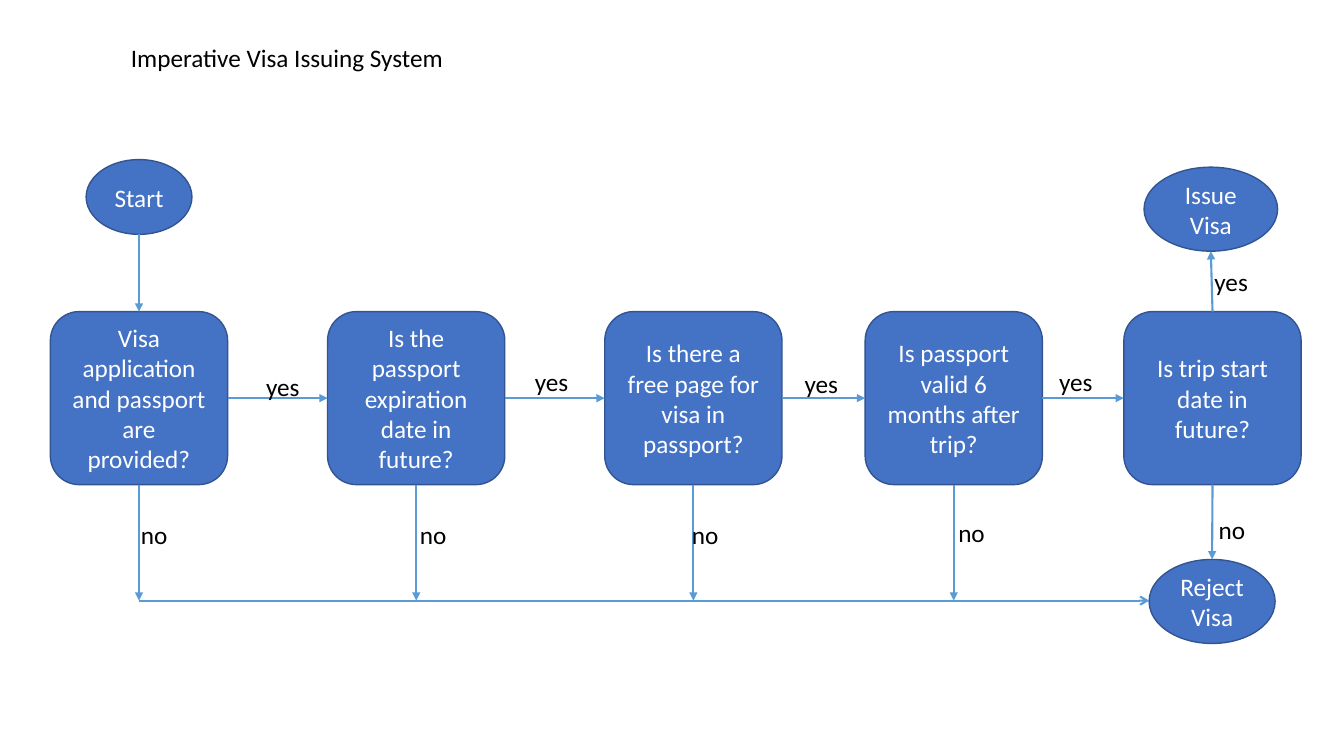
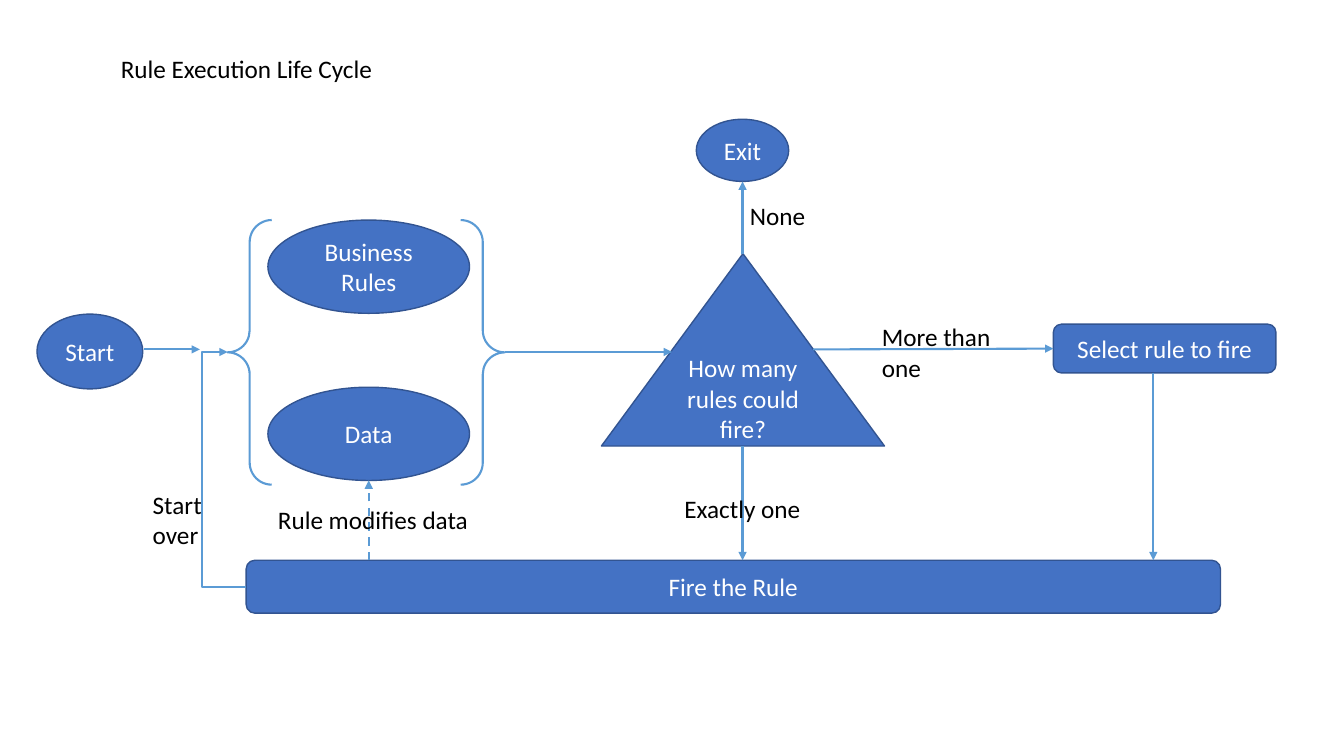
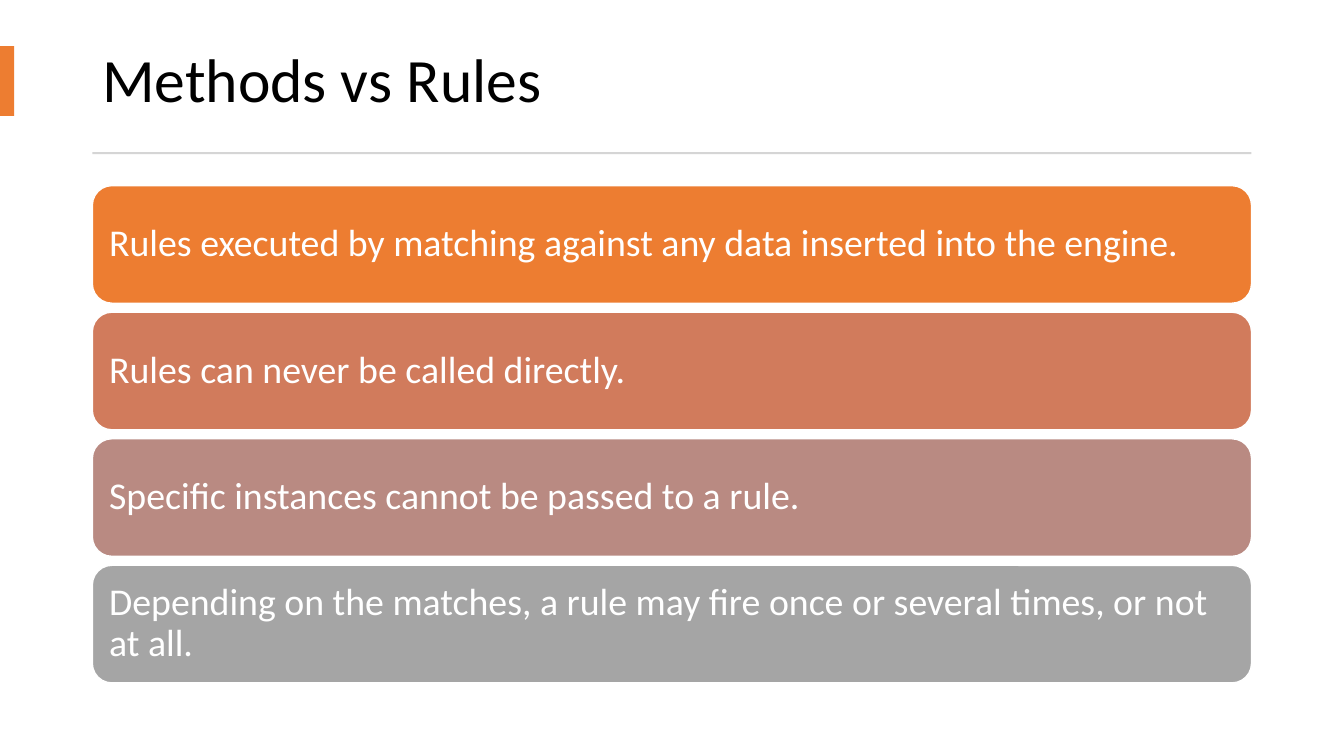
import pptx
import pptx.dml.color
import pptx.enum.dml
import pptx.enum.shapes
import pptx.enum.text
import pptx.oxml
import pptx.oxml.ns
import pptx.util

KIND = pptx.enum.shapes.MSO_SHAPE
LINK = pptx.enum.shapes.MSO_CONNECTOR
ALIGN = pptx.enum.text.PP_ALIGN
ANCHOR = pptx.enum.text.MSO_ANCHOR
TOP, LEFT, BOTTOM, RIGHT = range(4)

COLS, ROWS = 160, 90  # the slide grid; every length below counts its cells
CELL = pptx.util.Inches(1 / 12)
FONT = "Calibri"
BLUE, EDGE, WIRE = "4472C4", "325491", "5B9BD5"
BLACK, WHITE, ORANGE, GREY = "000000", "FFFFFF", "ED7D31", "D5D5D5"
CARDS = [
    (ORANGE, "Rules executed by matching against any data inserted into the engine."),
    ("D17B5C", "Rules can never be called directly."),
    ("B98A82", "Specific instances cannot be passed to a rule."),
    ("A5A5A5", "Depending on the matches, a rule may fire once or several times, or not at all."),
]
# question, left edge, place of its "yes", place of its "no"
STEPS = [
    ("Visa application and passport are provided?", 0, (24.5, 24.6), (9.6, 42.2)),
    ("Is the passport expiration date in future?", 33, (56.5, 24), (42.8, 42.2)),
    ("Is there a free page for visa in passport?", 66, (88.6, 24.2), (75.2, 42.2)),
    ("Is passport valid 6 months after trip?", 97, (118.9, 24), (106.9, 42)),
    ("Is trip start date in future?", 127.8, (137.4, 12.1), (137.9, 41.6)),
]


def cells(*counts):
    return [round(count * CELL) for count in counts]


def inside(box, x, y, *size):
    """Move a place given from the box's corner onto the slide."""
    return (box[0] + x, box[1] + y, *size)


def paint(form, color):
    form.solid()
    form.fore_color.rgb = pptx.dml.color.RGBColor.from_string(color)


def write(shape, lines, size, color, align=ALIGN.LEFT, anchor=ANCHOR.TOP, space=None):
    frame = shape.text_frame
    frame.word_wrap = True
    frame.vertical_anchor = anchor
    for i, line in enumerate(lines):
        para = frame.paragraphs[0] if i == 0 else frame.add_paragraph()
        para.alignment = align
        if space:
            para.line_spacing = space
        run = para.add_run()
        run.text = line
        run.font.name = FONT
        run.font.size = pptx.util.Pt(size)
        paint(run.font.fill, color)
    return frame


def draw(slide, kind, box, fill=None, edge=None, width=1):
    shape = slide.shapes.add_shape(kind, *cells(*box))
    shape.shadow.inherit = False
    if fill:
        paint(shape.fill, fill)
    else:
        shape.fill.background()
    if edge:
        paint(shape.line.fill, edge)
        shape.line.width = pptx.util.Pt(width)
    else:
        shape.line.fill.background()
    return shape


def node(slide, kind, box, text):
    shape = draw(slide, kind, box, BLUE, EDGE)
    write(shape, [text], 18, WHITE, ALIGN.CENTER, ANCHOR.MIDDLE)
    return shape


def label(slide, box, *lines):
    shape = slide.shapes.add_textbox(*cells(*box))
    frame = write(shape, lines, 18, BLACK)
    frame.word_wrap = False
    frame.auto_size = pptx.enum.text.MSO_AUTO_SIZE.SHAPE_TO_FIT_TEXT


def arrow(slide, start, end, head="triangle", kind=LINK.STRAIGHT):
    wire = slide.shapes.add_connector(kind, *cells(*start, *end))
    paint(wire.line.fill, WIRE)
    wire.line.width = pptx.util.Pt(1.5)
    tip = wire.line._get_or_add_ln().makeelement(
        pptx.oxml.ns.qn("a:tailEnd"), {"type": head})
    wire.line._get_or_add_ln().append(tip)
    props = wire._element.spPr
    props.append(props.makeelement(pptx.oxml.ns.qn("a:effectLst"), {}))
    return wire


def bend(slide, low, high, share):
    """Arrow from low, out left by a share of the width, back to high."""
    wire = arrow(slide, high, low, kind=LINK.ELBOW)
    props = wire._element.spPr
    props.find(pptx.oxml.ns.qn("a:xfrm")).set("rot", "10800000")
    form = props.find(pptx.oxml.ns.qn("a:prstGeom"))
    guides = form.find(pptx.oxml.ns.qn("a:avLst"))
    if guides is None:
        guides = form.makeelement(pptx.oxml.ns.qn("a:avLst"), {})
        form.append(guides)
    guides.append(guides.makeelement(
        pptx.oxml.ns.qn("a:gd"), {"name": "adj1", "fmla": f"val {round(share * 100000)}"}))


def visa_flow(slide, box):
    def at(*place):
        return inside(box, *place)

    wide, high, top, rail = 21.1, 20.6, 18.1, 52.5
    mid, base = top + high / 2, top + high
    node(slide, KIND.OVAL, at(4.25, 0, 12.6, 8.9), "Start")
    node(slide, KIND.OVAL, at(130.2, 0.9, 15.9, 10), "Issue Visa")
    node(slide, KIND.OVAL, at(130.8, 47.6, 15, 10), "Reject Visa")
    steps = [node(slide, KIND.ROUNDED_RECTANGLE, at(left, top, wide, high), text)
             for text, left, _, _ in STEPS]
    arrow(slide, at(wide / 2, 8.9), at(wide / 2, top)).end_connect(steps[0], TOP)
    arrow(slide, at(wide / 2, rail), at(130.8, rail), "arrow")

    for i, (_, left, yes, no) in enumerate(STEPS):
        center = left + wide / 2
        if i + 1 < len(STEPS):
            ahead = arrow(slide, at(left + wide, mid), at(STEPS[i + 1][1], mid))
            ahead.begin_connect(steps[i], RIGHT)
            ahead.end_connect(steps[i + 1], LEFT)
            drop = arrow(slide, at(center, base), at(center, rail))
        else:
            rise = arrow(slide, at(center, top), at(138.15, 10.9))
            rise.begin_connect(steps[i], TOP)
            drop = arrow(slide, at(center, base), at(138.3, 47.6))
        drop.begin_connect(steps[i], BOTTOM)
        label(slide, at(*yes, 6.5, 4.8), "yes")
        label(slide, at(*no, 5.6, 4.8), "no")


def rule_cycle(slide, box):
    def at(*place):
        return inside(box, *place)

    floor, axis = 52.7, 84.4
    node(slide, KIND.OVAL, at(0.4, 23.4, 12.6, 8.9), "Start")
    node(slide, KIND.OVAL, at(27.9, 12.2, 24, 11.1), "Business Rules")
    node(slide, KIND.OVAL, at(27.9, 32.1, 24, 11.1), "Data")
    draw(slide, KIND.DOUBLE_BRACE, at(23.1, 12.2, 33, 31.5), edge=WIRE, width=1.5)
    node(slide, KIND.ROUNDED_RECTANGLE, at(25.3, floor, 116, 6.3), "Fire the Rule")
    node(slide, KIND.ISOSCELES_TRIANGLE, at(67.6, 16.2, 33.7, 22.9),
         "How many rules could fire?")
    pick = node(slide, KIND.ROUNDED_RECTANGLE, at(121.4, 24.6, 26.5, 5.8),
                "Select rule to fire")
    node(slide, KIND.OVAL, at(axis - 5.5, 0.2, 11, 7.4), "Exit")

    for start, end in [
        ((13.1, 27.6), (19.8, 27.6)),
        ((56.1, 27.9), (76, 27.9)),
        ((axis, 39.1), (axis, floor)),
        ((axis, 16.2), (axis, 7.6)),
        ((133.3, 30.4), (133.3, floor)),
    ]:
        arrow(slide, at(*start), at(*end))
    arrow(slide, at(92.8, 27.6), at(121.4, 27.5)).end_connect(pick, LEFT)
    dashes = arrow(slide, at(39.9, floor), at(39.9, 43.2))
    dashes.line.dash_style = pptx.enum.dml.MSO_LINE.DASH
    bend(slide, at(25.3, 55.9), at(23.1, 27.9), 2.39)

    for place, *lines in [
        ((13, 43.6, 8.3, 8.5), "Start", "over"),
        ((27.9, 45.5, 25.3, 4.8), "Rule modifies data"),
        ((76.3, 44.1, 16.3, 4.8), "Exactly one"),
        ((99.8, 23.7, 16.2, 8.5), "More than", "one"),
        ((84.1, 9.3, 9.1, 4.8), "None"),
    ]:
        label(slide, at(*place), *lines)


def header(slide, box, text):
    left, top, wide, high = box
    title = slide.shapes.add_textbox(*cells(*box))
    write(title, [text], 44, BLACK, anchor=ANCHOR.MIDDLE, space=0.9)
    draw(slide, KIND.RECTANGLE, (0, top + 2.3, 1.7, 8.3), ORANGE)
    draw(slide, KIND.RECTANGLE, (left, top + high + 1.7, wide, 0.24), GREY)


def card_stack(slide, box, cards):
    left, top, wide, high = box
    tall = 14
    step = (high - tall) / (len(cards) - 1)
    for i, (color, text) in enumerate(cards):
        card = draw(slide, KIND.ROUNDED_RECTANGLE,
                    (left, top + i * step, wide, tall), color, WHITE)
        frame = write(card, [text], 27, WHITE, anchor=ANCHOR.MIDDLE, space=0.9)
        frame.margin_left = frame.margin_right = pptx.util.Inches(0.11)


def main():
    deck = pptx.Presentation()
    deck.slide_width, deck.slide_height = cells(COLS, ROWS)
    visa, cycle, rules = [deck.slides.add_slide(deck.slide_layouts[6]) for _ in range(3)]

    label(visa, (14.4, 4.4, 40, 4.8), "Imperative Visa Issuing System")
    visa_flow(visa, (6, 19, 149, 58))

    label(cycle, (13.2, 5.8, 32.8, 4.8), "Rule Execution Life Cycle")
    rule_cycle(cycle, (4, 14, 148, 59))

    header(rules, (11, 3.2, 138, 13.2), "Methods vs Rules")
    card_stack(rules, (11, 22.1, 138, 59.2), CARDS)
    deck.save("out.pptx")


if __name__ == "__main__":
    main()
